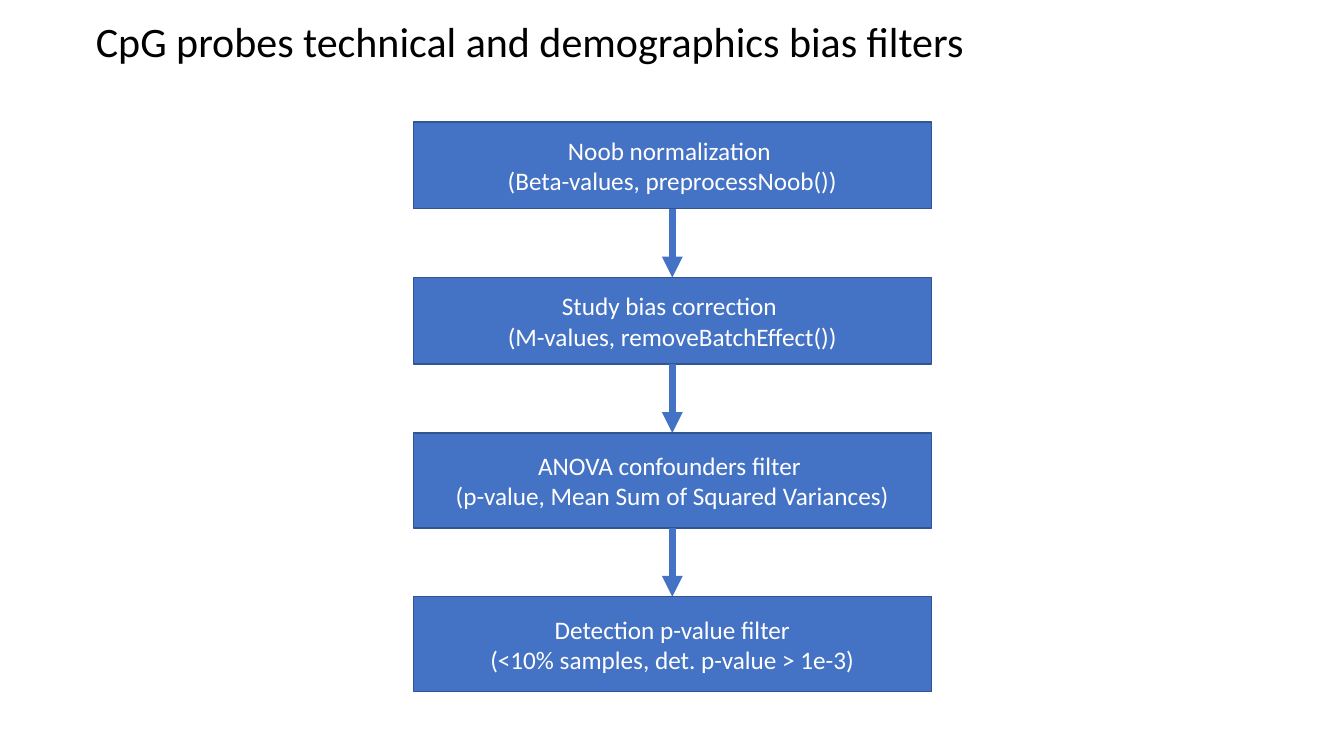
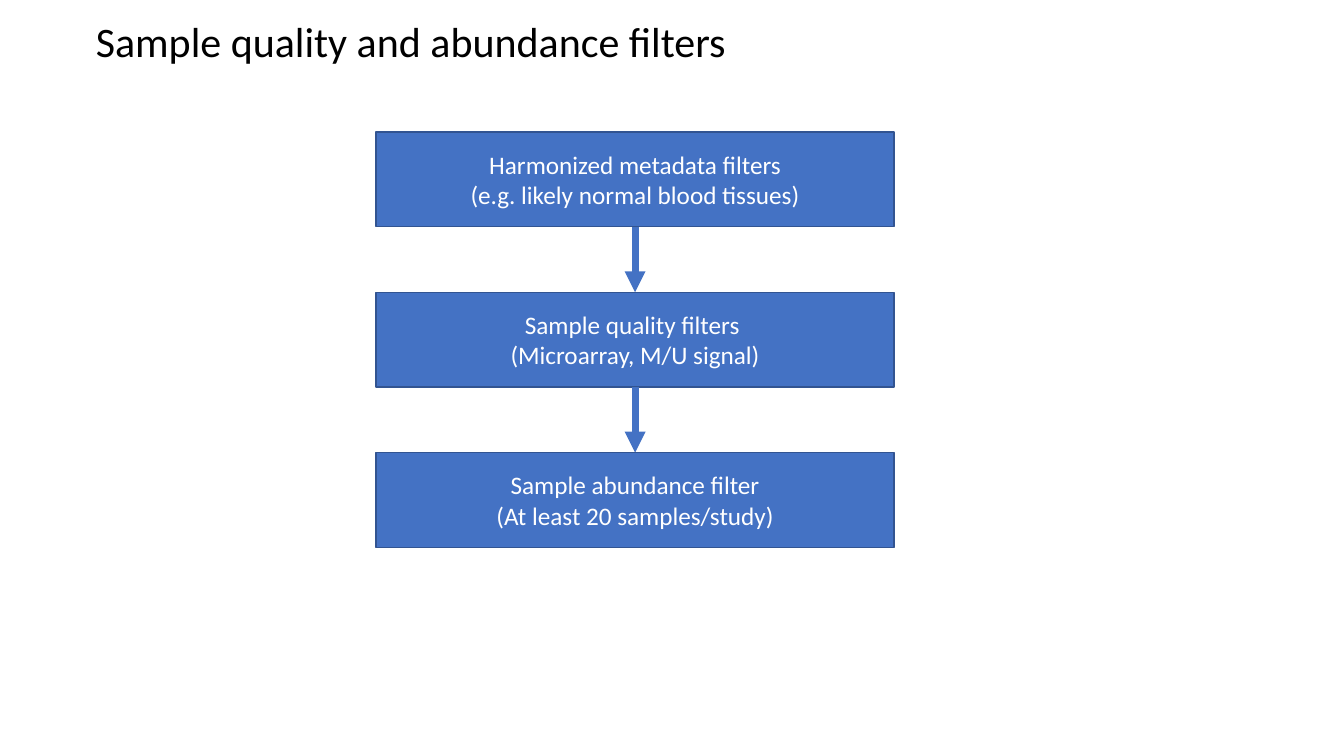
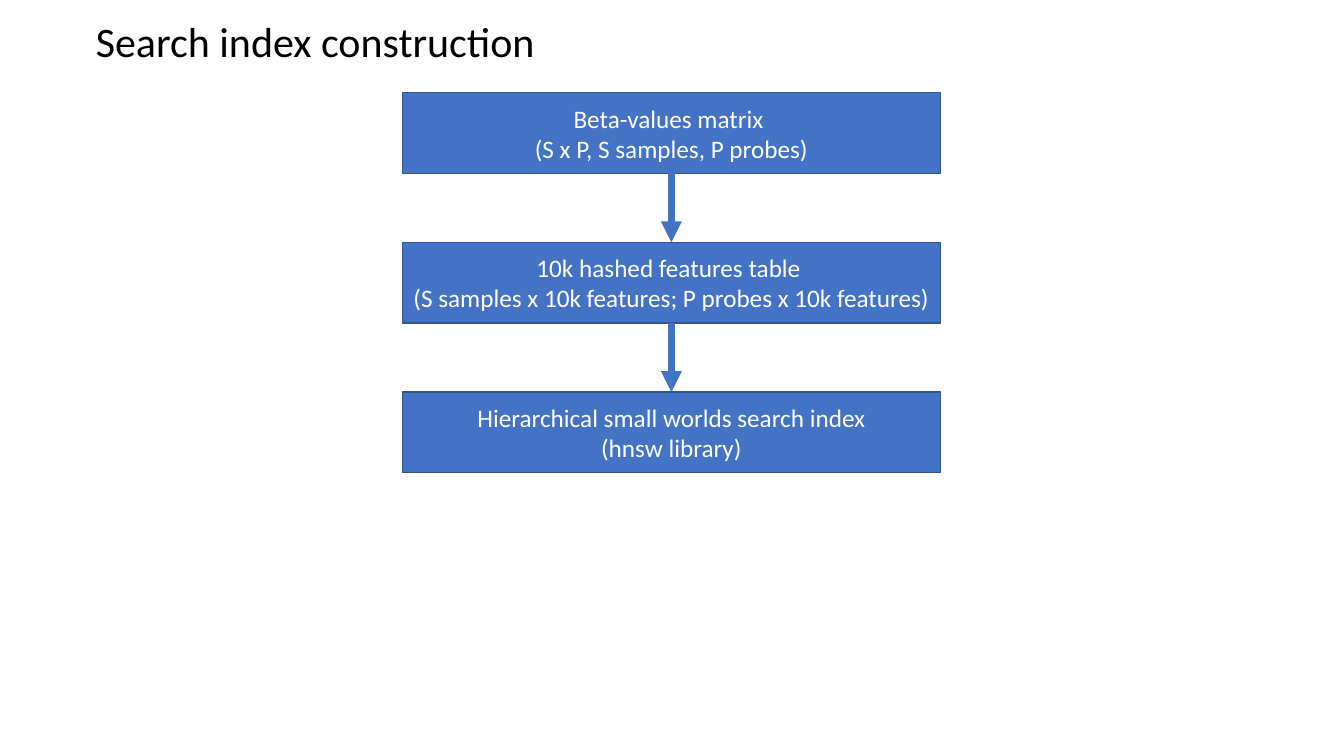
import pptx
import pptx.util
import pptx.dml.color
import pptx.enum.shapes
import pptx.enum.text
import pptx.oxml
import pptx.oxml.ns
from lxml import etree

W, H = pptx.util.Inches(13.33), pptx.util.Inches(7.5)
BLUE, EDGE, WHITE, BLACK = "4472C4", "325491", "FFFFFF", "000000"
ALIGN = pptx.enum.text.PP_ALIGN
ANCHOR = pptx.enum.text.MSO_ANCHOR
TITLE_BOX = (6.38, 1.33, 68.85, 8.13)  # percent of the slide's width and height
TITLE_FONT = {"name": "Calibri", "size": pptx.util.Pt(30)}
STEP_FONT = {"name": "Calibri", "size": pptx.util.Pt(18)}


def rgb(value):
    """Turn a hex string into a colour."""
    return pptx.dml.color.RGBColor.from_string(value)


def place(left, top, width, height):
    """Turn percentages of the slide into lengths."""
    return [round(share * side / 100) for share, side in
            ((left, W), (top, H), (width, W), (height, H))]


def apply(target, values):
    """Set each attribute named in values."""
    for name, value in values.items():
        setattr(target, name, value)


def write(tf, lines, font, color, align, anchor):
    """Fill a text frame with one paragraph per line."""
    apply(tf, {"word_wrap": True, "vertical_anchor": anchor,
               "auto_size": pptx.enum.text.MSO_AUTO_SIZE.NONE})
    for i, line in enumerate(lines):
        p = tf.paragraphs[0] if i == 0 else tf.add_paragraph()
        p.alignment = align
        r = p.add_run()
        r.text = line
        apply(r.font, font)
        r.font.color.rgb = rgb(color)


def add_title(s, text):
    """Place and fill the slide's title."""
    sp = s.shapes.title
    apply(sp, dict(zip(("left", "top", "width", "height"), place(*TITLE_BOX))))
    write(sp.text_frame, [text], TITLE_FONT, BLACK, ALIGN.LEFT, ANCHOR.TOP)


def add_step(s, box, lines):
    """Draw one step of a flow in the given box."""
    sp = s.shapes.add_shape(pptx.enum.shapes.MSO_SHAPE.RECTANGLE, *place(*box))
    sp.shadow.inherit = False
    sp.fill.solid()
    sp.fill.fore_color.rgb = rgb(BLUE)
    sp.line.color.rgb = rgb(EDGE)
    sp.line.width = pptx.util.Pt(1)
    write(sp.text_frame, lines, STEP_FONT, WHITE, ALIGN.CENTER, ANCHOR.MIDDLE)


def add_arrow(s, x, top, height):
    """Draw a downward arrow."""
    left, start, _, length = place(x, top, 0, height)
    arrow = s.shapes.add_connector(pptx.enum.shapes.MSO_CONNECTOR.STRAIGHT,
                                   left, start, left, start + length)
    arrow.line.color.rgb = rgb(BLUE)
    arrow.line.width = pptx.util.Pt(5)
    qn = pptx.oxml.ns.qn
    etree.SubElement(arrow.line._get_or_add_ln(), qn("a:tailEnd"), type="triangle")
    etree.SubElement(arrow._element.spPr, qn("a:effectLst"))


def add_flow(s, box, steps, heights):
    """Stack steps in the box with equal gaps, joined by arrows."""
    left, top, width, height = box
    gap = (height - sum(heights)) / (len(steps) - 1)
    for i, (lines, step_height) in enumerate(zip(steps, heights)):
        if i:
            add_arrow(s, left + width / 2, top - gap, gap)
        add_step(s, (left, top, width, step_height), lines)
        top += step_height + gap


def flow_slide(prs, title, box, steps, heights):
    """Add a slide with a title and a vertical flow."""
    s = prs.slides.add_slide(prs.slide_layouts.get_by_name("Title Only"))
    add_title(s, title)
    add_flow(s, box, steps, heights)


FLOWS = [
    ("CpG probes technical and demographics bias filters",
     (30.75, 16.13, 38.55, 75.33),
     [("Noob normalization ", "(Beta-values, preprocessNoob())"),
      ("Study bias correction ", "(M-values, removeBatchEffect())"),
      ("ANOVA confounders filter ", "(p-value, Mean Sum of Squared Variances)"),
      ("Detection p-value filter", "(<10% samples, det. p-value > 1e-3)")],
     [11.47] * 2 + [12.53] * 2),
    ("Sample quality and abundance filters",
     (27.98, 17.47, 38.55, 54.93),
     [("Harmonized metadata filters", "(e.g. likely normal blood tissues)"),
      ("Sample quality filters ", "(Microarray, M/U signal)"),
      ("Sample abundance filter", "(At least 20 samples/study)")],
     [12.53] * 3),
    ("Search index construction",
     (29.93, 12.27, 40.05, 50.27),
     [("Beta-values matrix ", "(S x P, S samples, P probes)"),
      ("10k hashed features table ",
       "(S samples x 10k features; P probes x 10k features)"),
      ("Hierarchical small worlds search index", "(hnsw library)")],
     [10.67] * 3),
]

prs = pptx.Presentation()
apply(prs, {"slide_width": W, "slide_height": H})
for flow in FLOWS:
    flow_slide(prs, *flow)
prs.save("out.pptx")
